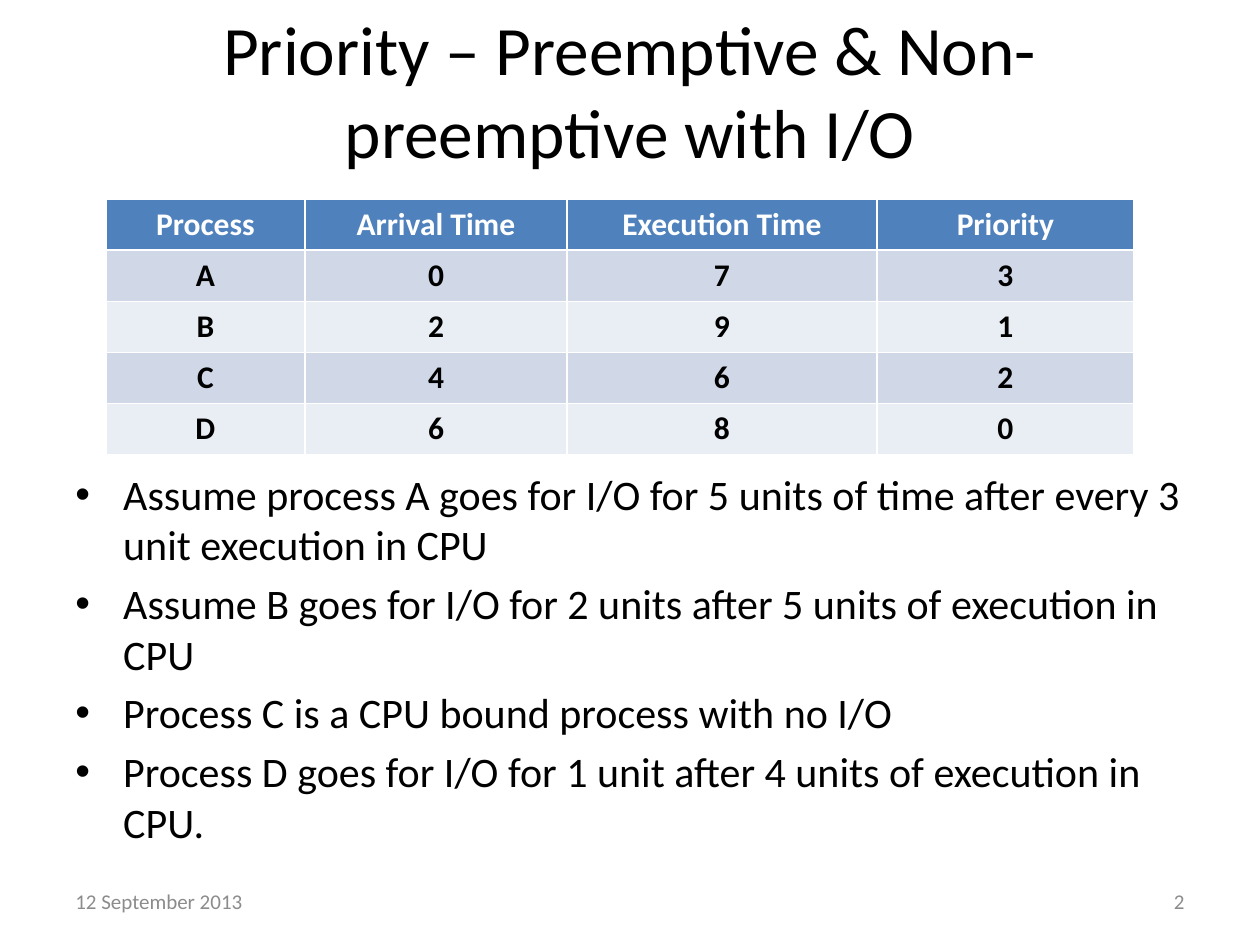
from pptx import Presentation
from pptx.dml.color import RGBColor
from pptx.enum.text import MSO_ANCHOR as Anchor, PP_ALIGN as Align
from pptx.util import Inches, Pt
from lxml.etree import SubElement
from pptx.oxml.ns import qn

deck = Presentation()
deck.slide_width, deck.slide_height = Inches(10), Inches(7.5)
slide = deck.slides.add_slide(deck.slide_layouts[6])
shapes = slide.shapes

MARGIN = 0.5
WIDTH = 10 - 2 * MARGIN


def write(par, text, size, color="000000", align=Align.LEFT, bold=False):
    par.alignment = align
    run = par.add_run()
    run.text = text
    font = run.font
    font.name, font.size, font.bold = "Calibri", Pt(size), bold
    font.color.rgb = RGBColor.from_string(color)


def add_box(left, top, width, height, anchor=Anchor.MIDDLE):
    box = shapes.add_textbox(*map(Inches, (left, top, width, height)))
    frame = box.text_frame
    frame.word_wrap = True
    frame.vertical_anchor = anchor
    return frame


# Title
title = add_box(MARGIN, 0.08, WIDTH, 1.25)
write(title.paragraphs[0], "Priority – Preemptive & Non-preemptive with I/O",
      39.6, align=Align.CENTER)

# Bullet list
notes = [
    "Assume process A goes for I/O for 5 units of time after every 3 unit execution in CPU",
    "Assume B goes for I/O for 2 units after 5 units of execution in CPU",
    "Process C is a CPU bound process with no I/O",
    "Process D goes for I/O for 1 unit after 4 units of execution in CPU.",
]
body = add_box(MARGIN, 3.67, WIDTH, 3.04, Anchor.TOP)
for i, note in enumerate(notes):
    par = body.add_paragraph() if i else body.paragraphs[0]
    props = par._p.get_or_add_pPr()
    props.set("marL", str(Inches(0.38)))
    props.set("indent", str(-Inches(0.38)))
    SubElement(props, qn("a:buFont"), typeface="Arial")
    SubElement(props, qn("a:buChar"), char="•")
    if i:
        par.space_before = Pt(4.8)
    write(par, note, 24)

# Date and slide number
third = 2.33
for left, text, align in [(MARGIN, "12 September 2013", Align.LEFT),
                          (10 - MARGIN - third, "2", Align.RIGHT)]:
    foot = add_box(left, 6.95, third, 0.4)
    write(foot.paragraphs[0], text, 12, "8C8C8C", align)

# Process table, with the white rules of the default table style
rows = [
    ("Process", "Arrival Time", "Execution Time", "Priority"),
    ("A", "0", "7", "3"),
    ("B", "2", "9", "1"),
    ("C", "4", "6", "2"),
    ("D", "6", "8", "0"),
]
widths = [1.58, 2.08, 2.46, 2.04]
table = shapes.add_table(len(rows), len(widths), Inches(0.84), Inches(1.58),
                         Inches(sum(widths)), Inches(2.03)).table
for col, width in zip(table.columns, widths):
    col.width = Inches(width)
for r, row in enumerate(rows):
    fill = ("E9EDF4", "D0D8E8")[r % 2] if r else "4F81BD"
    ink = "000000" if r else "FFFFFF"
    for c, text in enumerate(row):
        cell = table.cell(r, c)
        cell.fill.solid()
        cell.fill.fore_color.rgb = RGBColor.from_string(fill)
        write(cell.text_frame.paragraphs[0], text, 18, ink, Align.CENTER, True)

deck.save("out.pptx")
